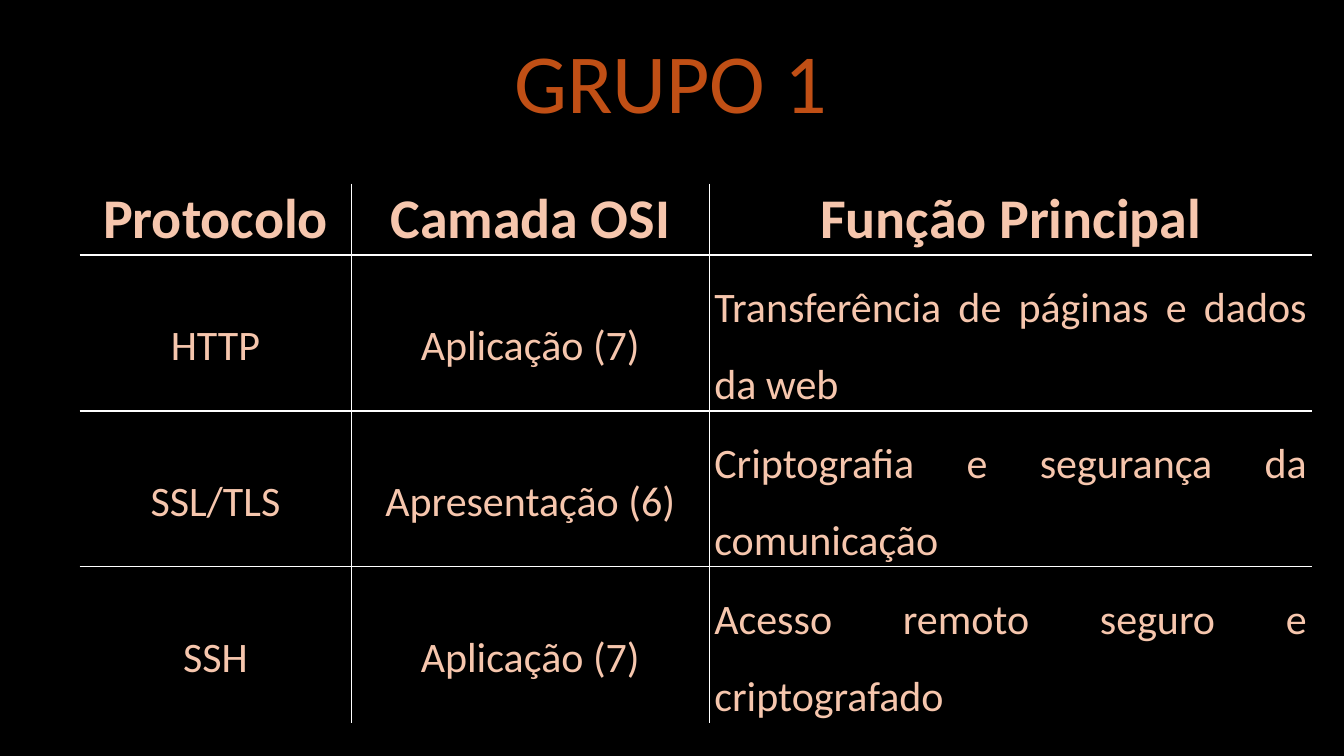
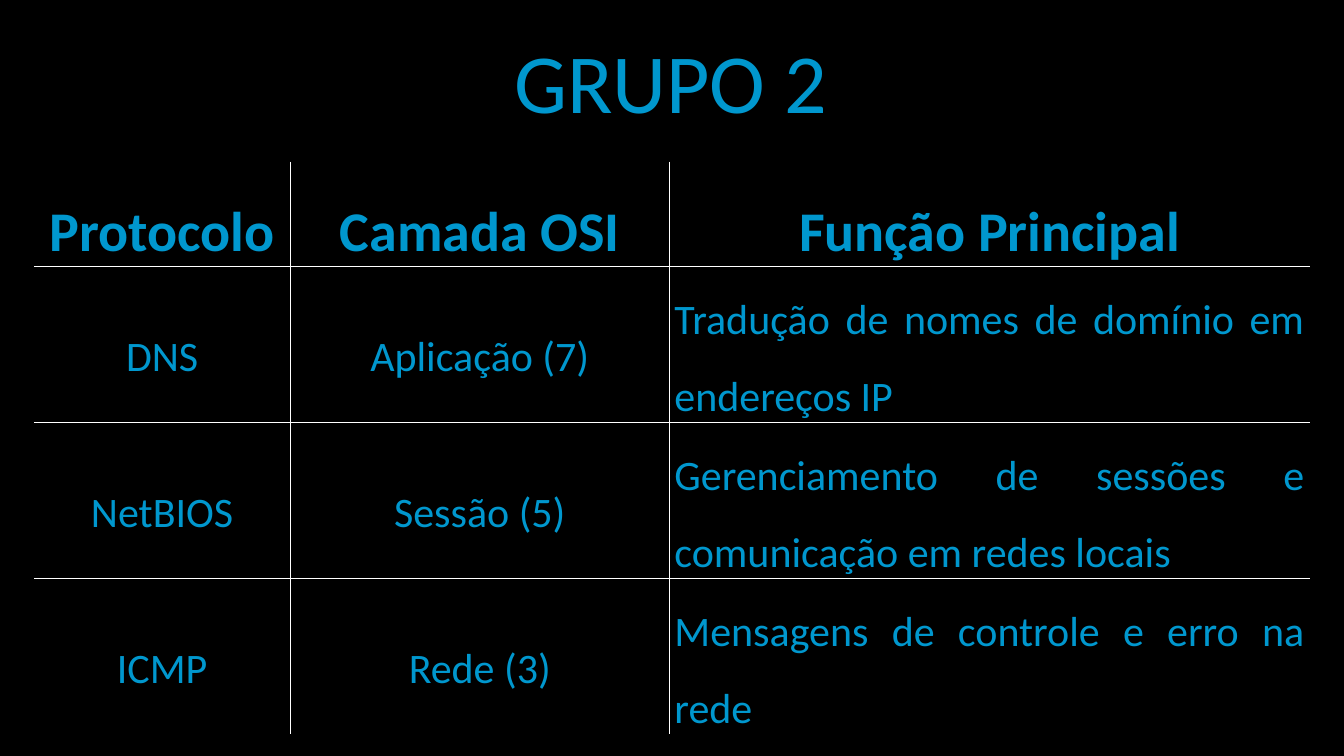
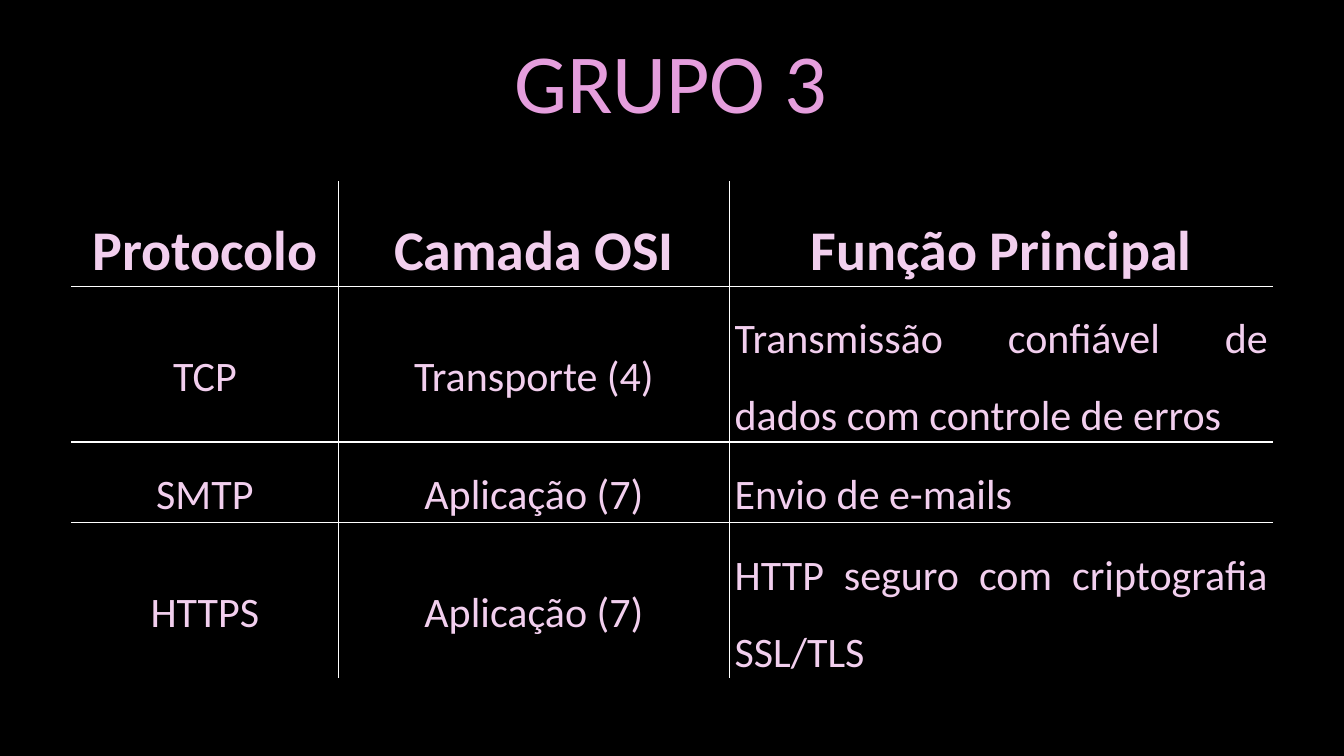
from dataclasses import dataclass

from lxml.etree import SubElement
from pptx import Presentation
from pptx.dml.color import RGBColor
from pptx.enum.text import MSO_ANCHOR, MSO_AUTO_SIZE, PP_ALIGN
from pptx.oxml.ns import qn
from pptx.presentation import Presentation as PresentationType
from pptx.slide import Slide
from pptx.table import _Cell
from pptx.text.text import Font
from pptx.util import Pt

BLACK = RGBColor(0x00, 0x00, 0x00)
WHITE = RGBColor(0xFF, 0xFF, 0xFF)
ORANGE = RGBColor(0xC0, 0x4F, 0x15)
PEACH = RGBColor(0xF6, 0xC6, 0xAD)
BLUE = RGBColor(0x00, 0x97, 0xCE)
PINK = RGBColor(0xE5, 0x9E, 0xDD)
LIGHT_PINK = RGBColor(0xF2, 0xCF, 0xEE)

FONT_NAME = "Calibri"
TITLE_SIZE, HEADER_SIZE, BODY_SIZE = Pt(60), Pt(40), Pt(30)
BODY_SPACING = 1.5
GRID_WIDTH = Pt(1)
ONE_LINE, TWO_LINES = 57.5, 111.4
HEADERS = ("Protocolo", "Camada OSI", "Função Principal")


@dataclass(frozen=True)
class Group:
    """One slide: its title, colours, protocols and table geometry in points."""
    title: str
    title_color: RGBColor
    text_color: RGBColor
    left: float
    top: float
    column_widths: tuple[float, ...]
    row_heights: tuple[float, ...]
    protocols: tuple[tuple[str, str, str], ...]
    header_spacing: float = BODY_SPACING


GROUPS = (
    Group(
        "GRUPO 1", ORANGE, PEACH, 56.9, 131.2, (194.1, 255.7, 430.7),
        (51, TWO_LINES, TWO_LINES, TWO_LINES),
        (
            ("HTTP", "Aplicação (7)", "Transferência de páginas e dados da web"),
            ("SSL/TLS", "Apresentação (6)", "Criptografia e segurança da comunicação"),
            ("SSH", "Aplicação (7)", "Acesso remoto seguro e criptografado"),
        ),
        header_spacing=1.0,
    ),
    Group(
        "GRUPO 2", BLUE, BLUE, 24.4, 115.5, (182.9, 270.9, 457.5),
        (75, TWO_LINES, TWO_LINES, TWO_LINES),
        (
            ("DNS", "Aplicação (7)", "Tradução de nomes de domínio em endereços IP"),
            ("NetBIOS", "Sessão (5)", "Gerenciamento de sessões e comunicação em redes locais"),
            ("ICMP", "Rede (3)", "Mensagens de controle e erro na rede"),
        ),
    ),
    Group(
        "GRUPO 3", PINK, LIGHT_PINK, 51, 129.4, (190.7, 279.5, 388.2),
        (75, TWO_LINES, ONE_LINE, TWO_LINES),
        (
            ("TCP", "Transporte (4)", "Transmissão confiável de dados com controle de erros"),
            ("SMTP", "Aplicação (7)", "Envio de e-mails"),
            ("HTTPS", "Aplicação (7)", "HTTP seguro com criptografia SSL/TLS"),
        ),
    ),
)


def format_font(font: Font, size: Pt, color: RGBColor, bold: bool = False) -> None:
    font.name = FONT_NAME
    font.size = size
    font.bold = bold
    font.color.rgb = color


def set_borders(cell: _Cell, sides: dict[str, bool]) -> None:
    """Draw a grid line on each side marked True and clear the others."""
    properties = cell._tc.get_or_add_tcPr()
    for side, visible in sides.items():
        line = SubElement(properties, qn(f"a:ln{side}"), w=str(GRID_WIDTH))
        if visible:
            fill = SubElement(line, qn("a:solidFill"))
            SubElement(fill, qn("a:srgbClr"), val=str(WHITE))
        else:
            SubElement(line, qn("a:noFill"))


def write_cell(cell: _Cell, text: str, alignment: PP_ALIGN, spacing: float,
               size: Pt, color: RGBColor, bold: bool) -> None:
    cell.margin_left = cell.margin_right = Pt(3.6)
    cell.margin_top = cell.margin_bottom = Pt(1.5)
    cell.vertical_anchor = MSO_ANCHOR.MIDDLE
    cell.text_frame.text = text
    paragraph = cell.text_frame.paragraphs[0]
    paragraph.alignment = alignment
    paragraph.line_spacing = spacing
    format_font(paragraph.runs[0].font, size, color, bold)


def add_title(slide: Slide, group: Group) -> None:
    title = slide.shapes.title
    title.left, title.top, title.width, title.height = Pt(360), Pt(17.3), Pt(240.5), Pt(80)
    frame = title.text_frame
    frame.text = group.title
    frame.word_wrap = False
    frame.auto_size = MSO_AUTO_SIZE.SHAPE_TO_FIT_TEXT
    frame.vertical_anchor = MSO_ANCHOR.TOP
    paragraph = frame.paragraphs[0]
    paragraph.alignment = PP_ALIGN.LEFT
    format_font(paragraph.runs[0].font, TITLE_SIZE, group.title_color)


def add_protocol_table(slide: Slide, group: Group) -> None:
    rows = (HEADERS, *group.protocols)
    last_row, last_column = len(rows) - 1, len(HEADERS) - 1
    table = slide.shapes.add_table(
        len(rows), len(HEADERS), Pt(group.left), Pt(group.top),
        Pt(sum(group.column_widths)), Pt(sum(group.row_heights)),
    ).table
    table.horz_banding = False
    for column, width in zip(table.columns, group.column_widths):
        column.width = Pt(width)
    for row, height in zip(table.rows, group.row_heights):
        row.height = Pt(height)

    for row_index, texts in enumerate(rows):
        is_header = row_index == 0
        for column_index, text in enumerate(texts):
            cell = table.cell(row_index, column_index)
            justified = column_index == last_column and not is_header
            write_cell(
                cell, text,
                PP_ALIGN.JUSTIFY if justified else PP_ALIGN.CENTER,
                group.header_spacing if is_header else BODY_SPACING,
                HEADER_SIZE if is_header else BODY_SIZE,
                group.text_color, is_header,
            )
            set_borders(cell, {
                "L": column_index > 0,
                "R": column_index < last_column,
                "T": row_index > 0,
                "B": row_index < last_row,
            })
            cell.fill.background()


def add_group_slide(presentation: PresentationType, group: Group) -> None:
    title_only = presentation.slide_layouts.get_by_name("Title Only")
    slide = presentation.slides.add_slide(title_only)
    add_title(slide, group)
    add_protocol_table(slide, group)


def main() -> None:
    presentation = Presentation()
    presentation.slide_width, presentation.slide_height = Pt(960), Pt(540)
    background = presentation.slide_master.background.fill
    background.solid()
    background.fore_color.rgb = BLACK
    for group in GROUPS:
        add_group_slide(presentation, group)
    presentation.save("out.pptx")


if __name__ == "__main__":
    main()
